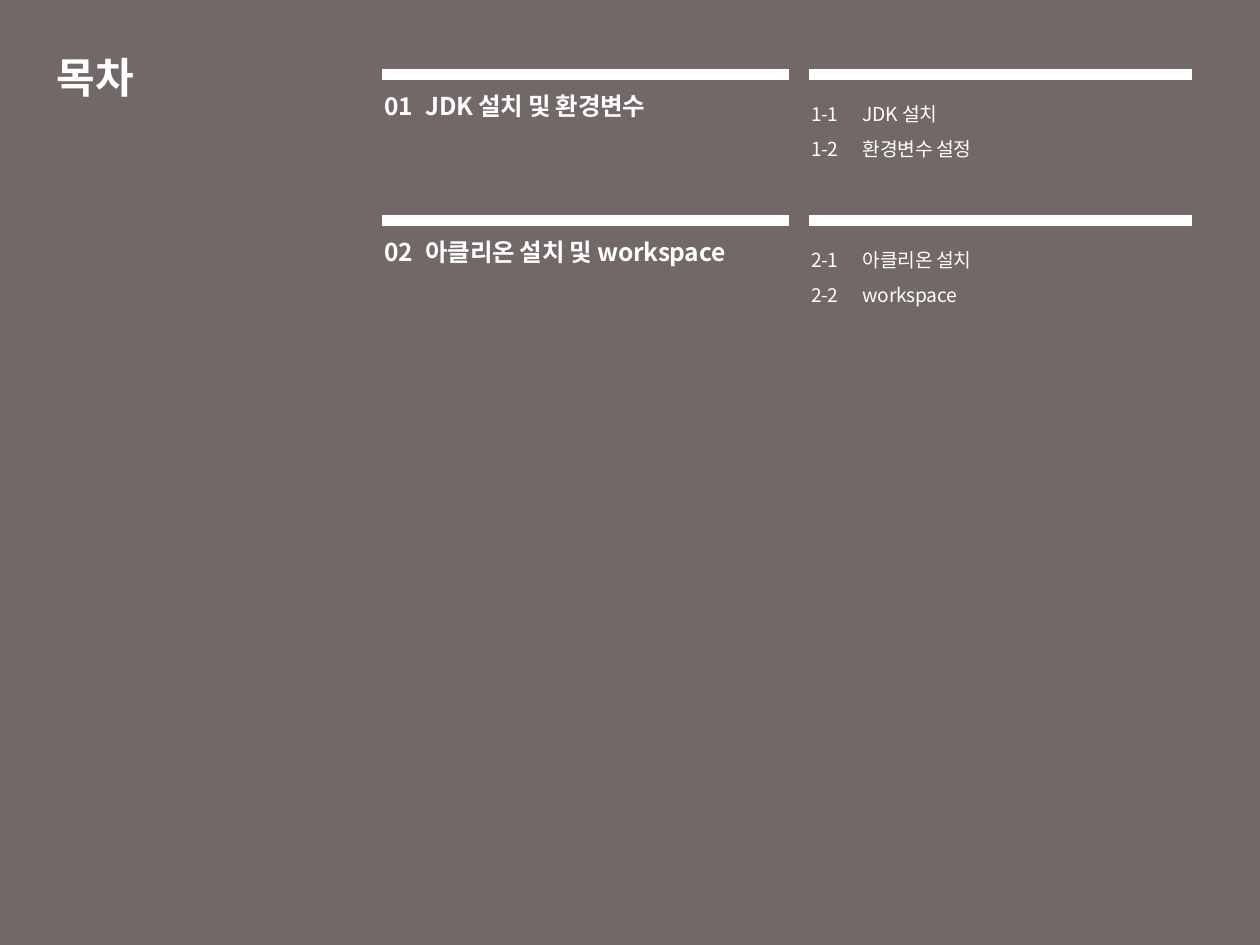
"""Build a table-of-contents slide with two chapters and their sections."""
import pptx
import pptx.dml.color
import pptx.enum.shapes
import pptx.enum.text
import pptx.oxml.ns
import pptx.util
from lxml import etree

Inches, Pt = pptx.util.Inches, pptx.util.Pt
RGB = pptx.dml.color.RGBColor.from_string
qn = pptx.oxml.ns.qn

TITLE = "목차"
CHAPTERS = [
    (("01", "JDK 설치 및 환경변수"),
     [("1-1", "JDK 설치"), ("1-2", "환경변수 설정")]),
    (("02", "아클리온 설치 및 workspace"),
     [("2-1", "아클리온 설치"), ("2-2", "workspace")]),
]
THEME = {
    "font": "Noto Sans CJK KR", "back": RGB("726868"), "ink": RGB("FFFFFF"),
    "title": 24, "chapter": 14, "section": 11, "rule": 6, "tracking": "-20",
}
RULES = [(3.03, 6.26), (6.42, 9.46)]
FIRST_RULE, PITCH, TEXT_DROP, TEXT_SHIFT = 0.59, 1.16, 0.08, 0.08
TEXT_WIDTH = 3.62


def add_run(p, text, size, bold=False, tracked=True):
    """Append a run in the theme font and colour."""
    r = p.add_run()
    r.text = text
    r.font.name, r.font.size, r.font.bold = THEME["font"], Pt(size), bold
    r.font.color.rgb = THEME["ink"]
    rpr = r.font._element
    etree.SubElement(rpr, qn("a:ea")).set("typeface", THEME["font"])
    if tracked:
        rpr.set("spc", THEME["tracking"])


def add_box(s, left, top, width, height):
    """Add a wrapping text box and return its text frame."""
    tf = s.shapes.add_textbox(*map(Inches, (left, top, width, height))).text_frame
    tf.word_wrap = True
    return tf


def add_entries(tf, entries, size, tab, bold=False, spacing=1.0):
    """Write one numbered entry per paragraph, aligned at a tab stop."""
    for i, (number, label) in enumerate(entries):
        p = tf.add_paragraph() if i else tf.paragraphs[0]
        p.line_spacing = spacing
        stops = etree.SubElement(p._p.get_or_add_pPr(), qn("a:tabLst"))
        etree.SubElement(stops, qn("a:tab"), pos=str(Inches(tab)), algn="l")
        add_run(p, f"{number}\t{label}", size, bold)


def add_rule(s, left, right, y):
    """Draw a thick horizontal rule."""
    line = s.shapes.add_connector(
        pptx.enum.shapes.MSO_CONNECTOR.STRAIGHT,
        Inches(left), Inches(y), Inches(right), Inches(y))
    line.line.color.rgb = THEME["ink"]
    line.line.width = Pt(THEME["rule"])
    etree.SubElement(line._element.spPr, qn("a:effectLst"))


def main():
    """Assemble and save the slide."""
    prs = pptx.Presentation()
    prs.slide_width, prs.slide_height = Inches(10), Inches(7.5)
    s = prs.slides.add_slide(prs.slide_layouts[6])

    sp = s.shapes.add_shape(pptx.enum.shapes.MSO_SHAPE.RECTANGLE,
                            0, 0, prs.slide_width, prs.slide_height)
    sp.shadow.inherit = False
    sp.fill.solid()
    sp.fill.fore_color.rgb = THEME["back"]
    sp.line.fill.background()

    tf = add_box(s, 0.35, 0.29, 3.15, 0.63)
    tf.vertical_anchor = pptx.enum.text.MSO_ANCHOR.MIDDLE
    add_run(tf.paragraphs[0], TITLE, THEME["title"], bold=True, tracked=False)

    for i, (chapter, sections) in enumerate(CHAPTERS):
        y = FIRST_RULE + i * PITCH
        for left, right in RULES:
            add_rule(s, left, right, y)
        chapter_x, section_x = (left - TEXT_SHIFT for left, _ in RULES)
        tf = add_box(s, chapter_x, y + TEXT_DROP, TEXT_WIDTH, 0.39)
        add_entries(tf, [chapter], THEME["chapter"], 0.33, bold=True)
        tf = add_box(s, section_x, y + TEXT_DROP, TEXT_WIDTH, 0.71)
        add_entries(tf, sections, THEME["section"], 0.41, spacing=1.5)

    prs.save("out.pptx")


if __name__ == "__main__":
    main()
